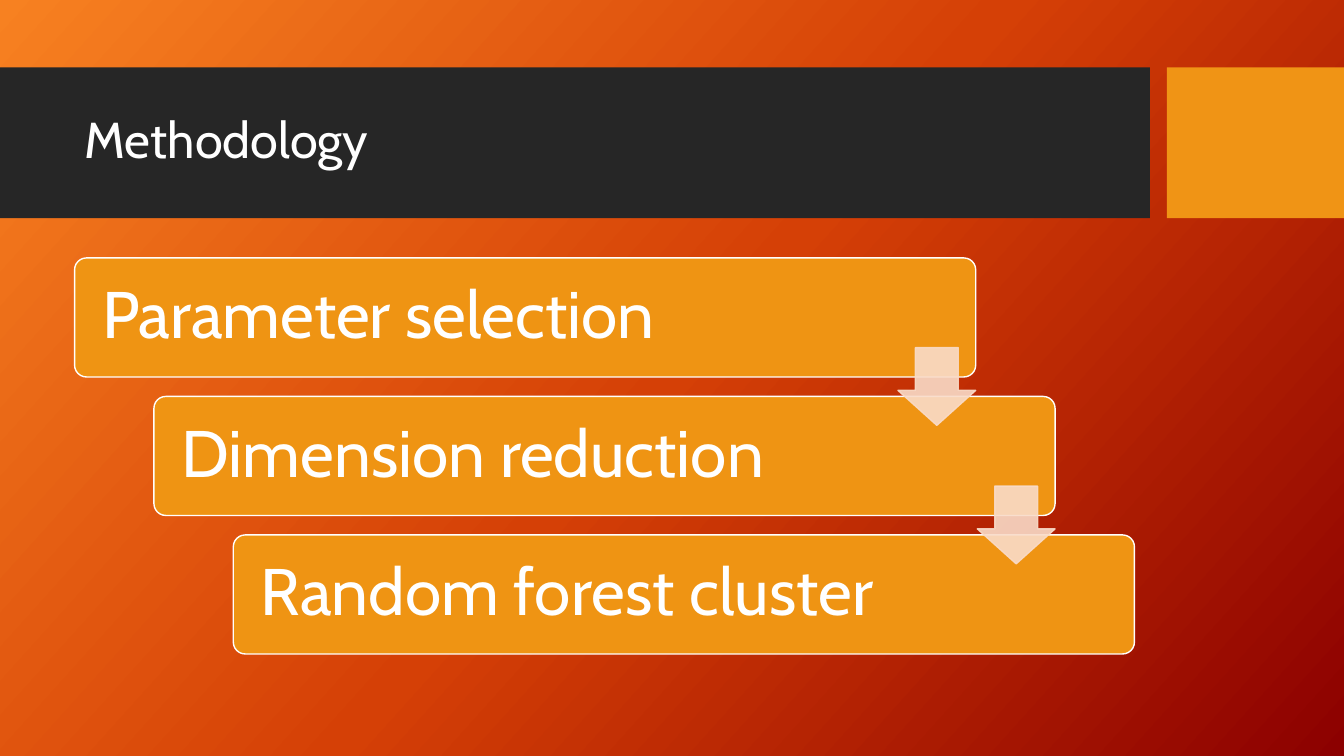
import copy

import pptx
import pptx.dml.color
import pptx.enum.shapes
import pptx.enum.text
import pptx.oxml
import pptx.oxml.ns
import pptx.util
from pptx.util import Cm

COLORS = {
    "glow": "F78121",
    "flame": "D54006",
    "ember": "8C0000",
    "band": "262626",
    "accent": "F09415",
    "step": "EF9413",
    "arrow": "F9DBC8",
    "white": "FFFFFF",
}
SHAPES = pptx.enum.shapes.MSO_SHAPE


def rgb(name):
    return pptx.dml.color.RGBColor.from_string(COLORS[name])


def write_text(shape, text, size):
    frame = shape.text_frame
    frame.text = text
    frame.word_wrap = True
    frame.auto_size = pptx.enum.text.MSO_AUTO_SIZE.NONE
    frame.vertical_anchor = pptx.enum.text.MSO_ANCHOR.MIDDLE
    paragraph = frame.paragraphs[0]
    paragraph.alignment = pptx.enum.text.PP_ALIGN.LEFT
    paragraph.line_spacing = 0.9
    font = paragraph.runs[0].font
    font.name = "Cabin"
    font.size = pptx.util.Pt(size)
    font.color.rgb = rgb("white")


presentation = pptx.Presentation()
presentation.slide_width = Cm(33.87)
presentation.slide_height = Cm(19.05)
slide = presentation.slides.add_slide(presentation.slide_layouts[5])

background = slide.background.fill
background.gradient()
background.gradient_angle = 318
stop_list = slide.element.find(".//" + pptx.oxml.ns.qn("a:gsLst"))
stop_list.append(copy.deepcopy(stop_list[0]))
for stop, position, color in zip(
    background.gradient_stops, (0, 0.5, 1), ("glow", "flame", "ember")
):
    stop.position = position
    stop.color.rgb = rgb(color)

for left, width, color in ((0, 28.98, "band"), (29.41, 4.46, "accent")):
    bar = slide.shapes.add_shape(SHAPES.RECTANGLE, Cm(left), Cm(1.7), Cm(width), Cm(3.8))
    bar.shadow.inherit = False
    bar.fill.solid()
    bar.fill.fore_color.rgb = rgb(color)
    bar.line.fill.background()

title = slide.shapes.title
title.left, title.top, title.width, title.height = Cm(1.88), Cm(2.08), Cm(26.7), Cm(3)
write_text(title, "Methodology", 36)
title.element.getparent().append(title.element)

steps = ["Parameter selection", "Dimension reduction", "Random forest cluster"]
step_left, step_top = 1.88, 6.5
step_width, step_height = 22.71, 3
shift_right, shift_down = 2, 3.49
arrow_size, arrow_drop = 1.96, 2.26

for index, text in enumerate(steps):
    step = slide.shapes.add_shape(
        SHAPES.ROUNDED_RECTANGLE,
        Cm(step_left + index * shift_right),
        Cm(step_top + index * shift_down),
        Cm(step_width),
        Cm(step_height),
    )
    step.adjustments[0] = 0.1
    step.shadow.inherit = False
    step.fill.solid()
    step.fill.fore_color.rgb = rgb("step")
    step.line.color.rgb = rgb("white")
    step.line.width = pptx.util.Pt(1)
    step.text_frame.margin_left = Cm(0.61)
    write_text(step, text, 47)

for index in range(len(steps) - 1):
    arrow = slide.shapes.add_shape(
        SHAPES.DOWN_ARROW,
        Cm(step_left + step_width - arrow_size + index * shift_right),
        Cm(step_top + arrow_drop + index * shift_down),
        Cm(arrow_size),
        Cm(arrow_size),
    )
    arrow.adjustments[0] = 0.55
    arrow.adjustments[1] = 0.45
    arrow.shadow.inherit = False
    arrow.fill.solid()
    arrow.fill.fore_color.rgb = rgb("arrow")
    arrow.line.color.rgb = rgb("arrow")
    arrow.line.width = pptx.util.Pt(1)
    for color in arrow.element.spPr.iter(pptx.oxml.ns.qn("a:srgbClr")):
        color.append(
            pptx.oxml.parse_xml(f'<a:alpha {pptx.oxml.ns.nsdecls("a")} val="90000"/>')
        )

presentation.save("out.pptx")
